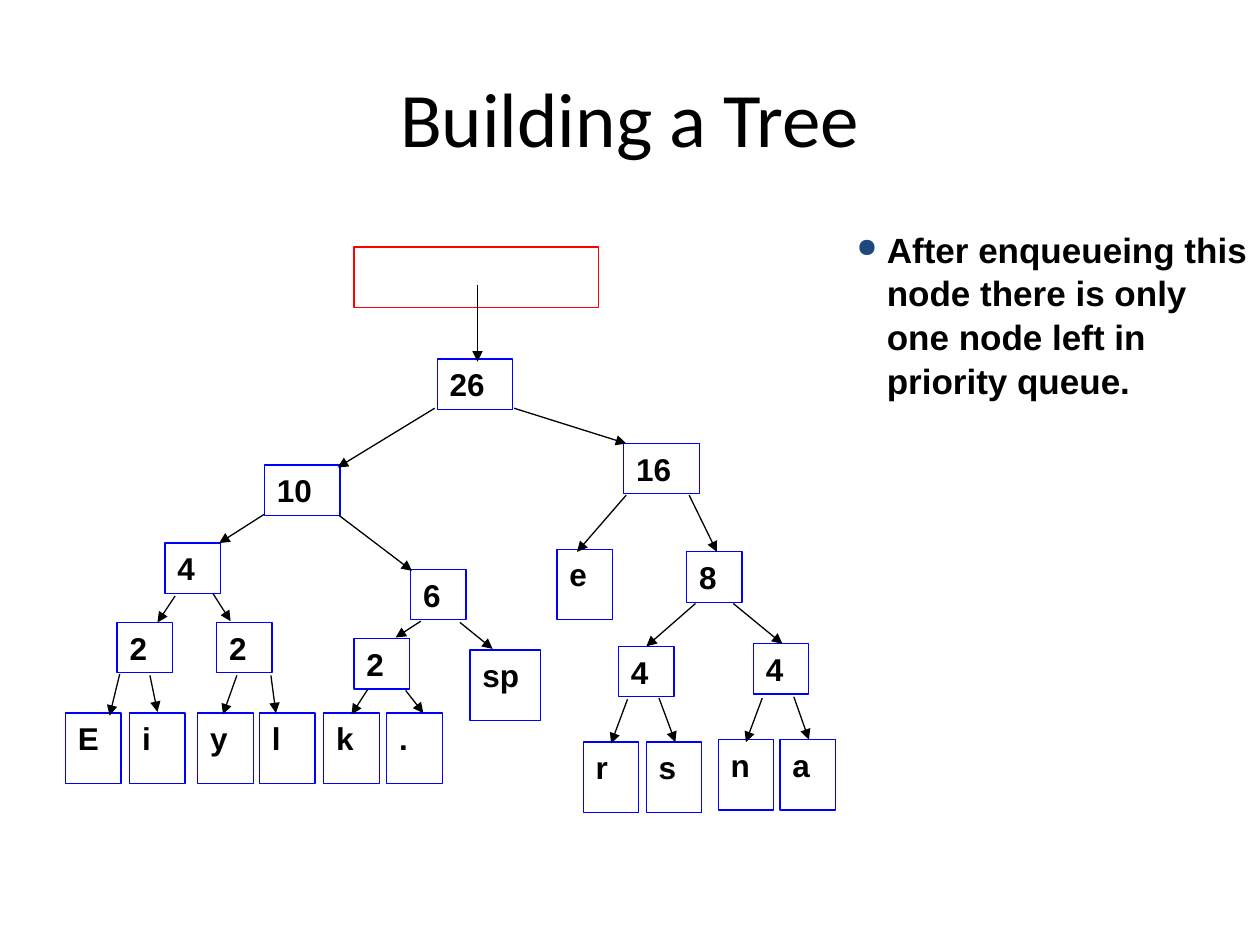
from dataclasses import dataclass
from typing import NamedTuple, Optional

from lxml.etree import SubElement
from pptx import Presentation
from pptx.dml.color import RGBColor as RGB
from pptx.enum.shapes import MSO_CONNECTOR as Connector, MSO_SHAPE as Preset
from pptx.enum.text import MSO_ANCHOR as Anchor, PP_ALIGN as Align
from pptx.oxml.ns import qn
from pptx.util import Inches, Pt


@dataclass(frozen=True)
class Theme:
    ink: RGB = RGB(0, 0, 0)
    node_line: RGB = RGB(0, 0, 0xFF)
    queue_line: RGB = RGB(0xFF, 0, 0)
    queue_fill: RGB = RGB(0xFF, 0xFF, 0xFF)
    bullet: str = "1F497D"
    title_font: str = "Calibri"
    body_font: str = "Arial"
    title_size: int = 44
    note_size: int = 20
    node_size: int = 18
    line_width: float = 0.75


THEME = Theme()


class Box(NamedTuple):
    left: float
    top: float
    width: float
    height: float


class Arrow(NamedTuple):
    x1: float
    y1: float
    x2: float
    y2: float


class Node(NamedTuple):
    """A tree node with the arrow that leads to it from its parent."""
    label: str
    left: float
    top: float
    arrow: Arrow

    @property
    def box(self) -> Box:
        is_weight = self.label.isdigit()
        wide = 0.6 if is_weight else 0.56
        return Box(self.left, self.top,
                   wide if len(self.label) > 1 else 0.44,
                   0.4 if is_weight else 0.56)


QUEUE = Box(2.81, 1.96, 1.94, 0.48)
TITLE = Box(0.5, 0.3, 9, 1.25)
NOTE = Box(6.7, 1.75, 3.3, 1.44)

NODES = [
    Node("26", 3.47, 2.85, Arrow(3.79, 2.26, 3.79, 2.87)),
    Node("10", 2.1, 3.69, Arrow(3.45, 3.24, 2.68, 3.71)),
    Node("16", 4.95, 3.52, Arrow(4.08, 3.24, 4.97, 3.52)),
    Node("4", 1.31, 4.31, Arrow(2.1, 4.08, 1.74, 4.31)),
    Node("6", 3.26, 4.52, Arrow(2.69, 4.09, 3.27, 4.53)),
    Node("e", 4.42, 4.36, Arrow(4.97, 3.93, 4.58, 4.38)),
    Node("8", 5.45, 4.38, Arrow(5.47, 3.93, 5.69, 4.38)),
    Node("2", 0.93, 4.94, Arrow(1.39, 4.73, 1.25, 4.94)),
    Node("2", 1.72, 4.94, Arrow(1.69, 4.71, 1.83, 4.93)),
    Node("2", 2.81, 5.07, Arrow(3.34, 4.93, 3.14, 5.06)),
    Node("sp", 3.73, 5.16, Arrow(3.65, 4.94, 3.91, 5.15)),
    Node("4", 4.91, 5.13, Arrow(5.52, 4.79, 5.13, 5.13)),
    Node("4", 5.98, 5.11, Arrow(5.82, 4.79, 6.21, 5.11)),
    Node("E", 0.52, 5.66, Arrow(0.95, 5.35, 0.87, 5.68)),
    Node("i", 1.03, 5.66, Arrow(1.19, 5.36, 1.25, 5.65)),
    Node("y", 1.57, 5.66, Arrow(1.88, 5.36, 1.77, 5.67)),
    Node("l", 2.06, 5.66, Arrow(2.15, 5.36, 2.19, 5.66)),
    Node("k", 2.57, 5.66, Arrow(2.92, 5.47, 2.79, 5.67)),
    Node(".", 3.07, 5.66, Arrow(3.22, 5.48, 3.36, 5.66)),
    Node("r", 4.63, 5.89, Arrow(4.98, 5.55, 4.85, 5.9)),
    Node("s", 5.13, 5.89, Arrow(5.23, 5.54, 5.36, 5.89)),
    Node("n", 5.7, 5.87, Arrow(6.05, 5.54, 5.92, 5.89)),
    Node("a", 6.19, 5.87, Arrow(6.3, 5.53, 6.42, 5.87)),
]


def add_bullet(paragraph) -> None:
    props = paragraph._p.get_or_add_pPr()
    props.set("marL", str(Inches(0.24)))
    props.set("indent", str(Inches(-0.24)))
    color = SubElement(props, qn("a:buClr"))
    SubElement(color, qn("a:srgbClr"), val=THEME.bullet)
    SubElement(props, qn("a:buSzPct"), val="75000")
    SubElement(props, qn("a:buChar"), char="●")


def write(shape, text: str, *, size: int, font: str = THEME.body_font,
          bold: bool = True, align: Align = Align.LEFT,
          anchor: Anchor = Anchor.TOP, bullet: bool = False,
          spacing: Optional[float] = None) -> None:
    frame = shape.text_frame
    frame.word_wrap = True
    frame.vertical_anchor = anchor
    paragraph = frame.paragraphs[0]
    paragraph.alignment = align
    if spacing:
        paragraph.line_spacing = spacing
    if bullet:
        add_bullet(paragraph)
    run = paragraph.add_run()
    run.text = text
    run.font.name = font
    run.font.size = Pt(size)
    run.font.bold = bold
    run.font.color.rgb = THEME.ink


def add_box(slide, box: Box, line: RGB, fill: Optional[RGB] = None):
    shape = slide.shapes.add_shape(Preset.RECTANGLE, *map(Inches, box))
    shape.shadow.inherit = False
    if fill is None:
        shape.fill.background()
    else:
        shape.fill.solid()
        shape.fill.fore_color.rgb = fill
    shape.line.color.rgb = line
    shape.line.width = Pt(THEME.line_width)
    return shape


def add_arrow(slide, arrow: Arrow) -> None:
    connector = slide.shapes.add_connector(Connector.STRAIGHT, *map(Inches, arrow))
    connector.line.color.rgb = THEME.ink
    connector.line.width = Pt(THEME.line_width)
    SubElement(connector.line._get_or_add_ln(), qn("a:tailEnd"), type="triangle")
    SubElement(connector._element.spPr, qn("a:effectLst"))


def main() -> None:
    deck = Presentation()
    deck.slide_width, deck.slide_height = Inches(10), Inches(7.5)
    slide = deck.slides.add_slide(deck.slide_layouts[6])

    title = slide.shapes.add_textbox(*map(Inches, TITLE))
    write(title, "Building a Tree", size=THEME.title_size, font=THEME.title_font,
          bold=False, align=Align.CENTER, anchor=Anchor.MIDDLE)

    add_box(slide, QUEUE, THEME.queue_line, THEME.queue_fill)
    for node in NODES:
        write(add_box(slide, node.box, THEME.node_line), node.label,
              size=THEME.node_size)
    for node in NODES:
        add_arrow(slide, node.arrow)

    note = slide.shapes.add_textbox(*map(Inches, NOTE))
    write(note, "After enqueueing this node there is only one node left in "
          "priority queue.", size=THEME.note_size, bullet=True, spacing=1.04)

    deck.save("out.pptx")


if __name__ == "__main__":
    main()
